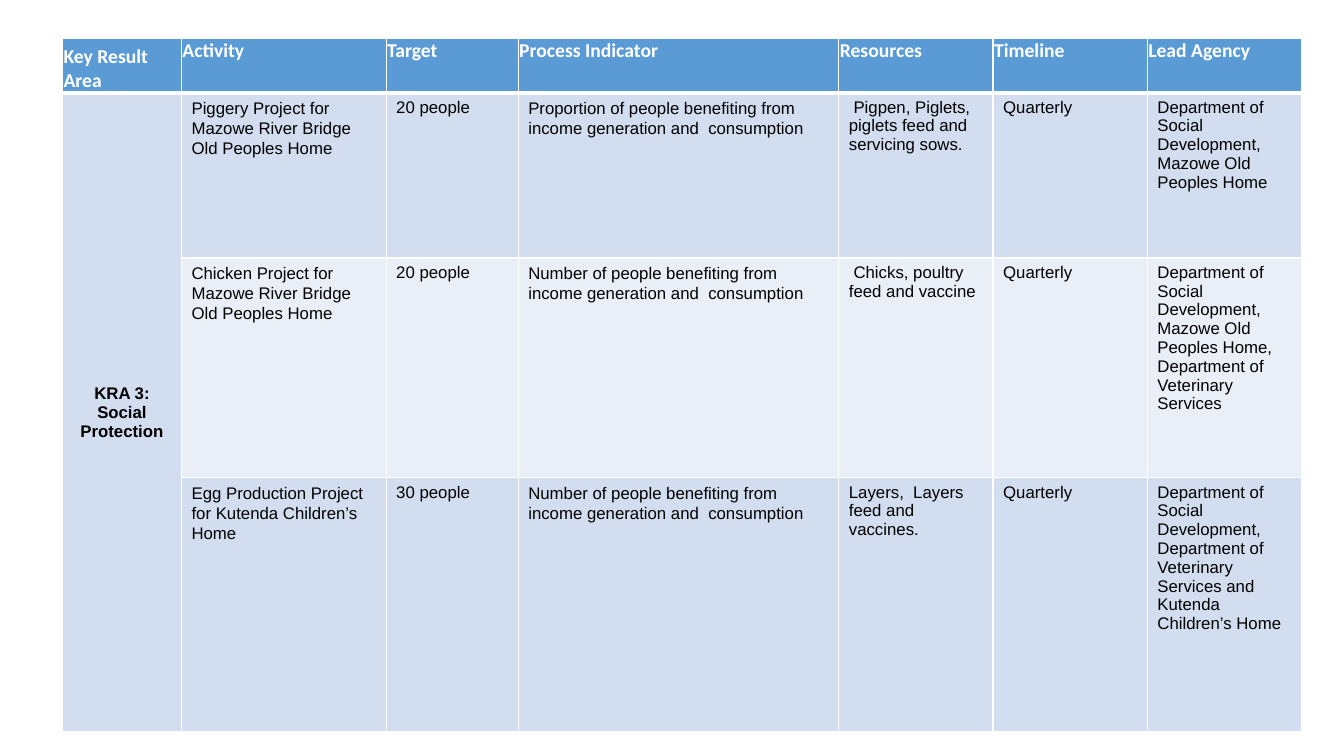
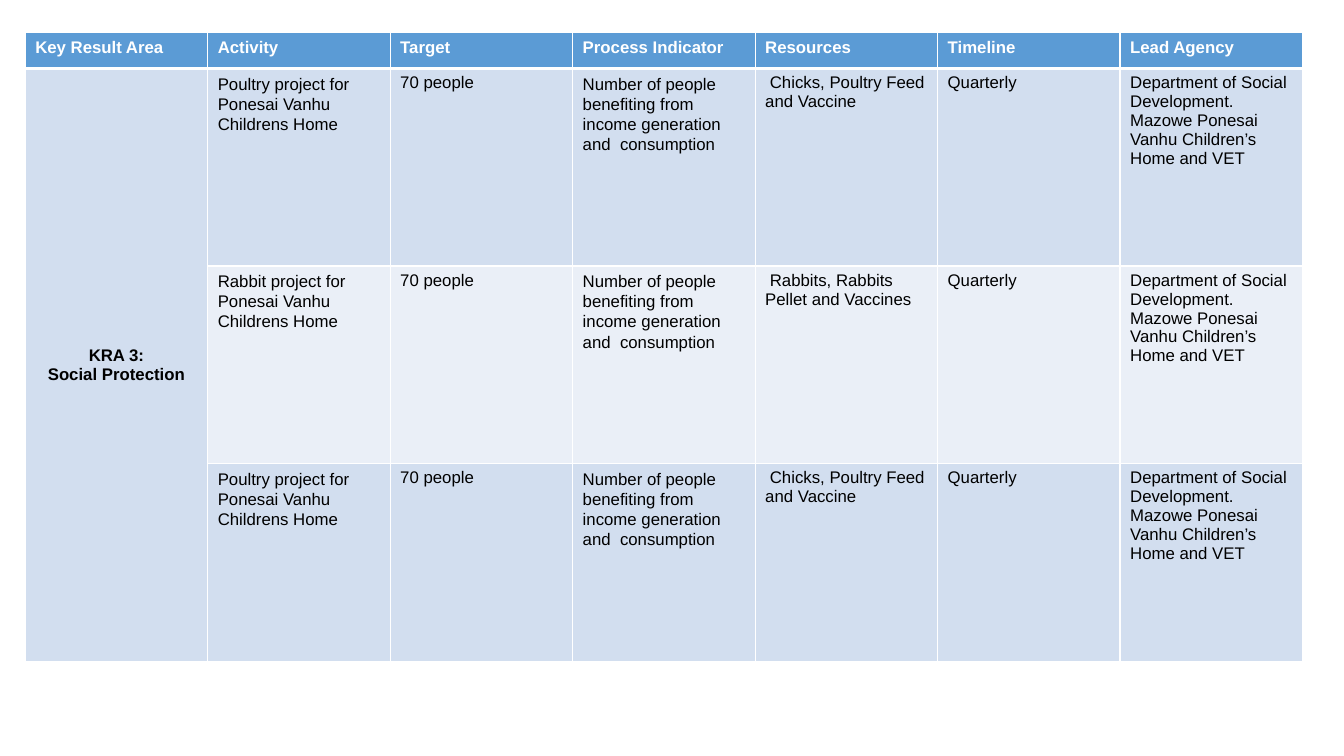
from dataclasses import dataclass

from lxml.etree import SubElement
from pptx import Presentation
from pptx.dml.color import RGBColor
from pptx.enum.text import MSO_ANCHOR, PP_ALIGN
from pptx.oxml.ns import qn
from pptx.util import Inches, Pt


@dataclass(frozen=True)
class Theme:
    header_fill: str = "5B9BD5"
    band_fills: tuple = ("D2DEEF", "EAEFF7")
    border: str = "FFFFFF"
    header_text: str = "FFFFFF"
    body_text: str = "000000"
    body_font: str = "Arial"
    body_size: int = 12
    thin: int = 1
    thick: int = 3
    loose_spacing: float = 1.07
    space_after: int = 8


@dataclass(frozen=True)
class HeaderStyle:
    font: str
    size: int
    tight: bool
    first_anchor: MSO_ANCHOR = MSO_ANCHOR.TOP


HEADINGS = ("Key Result Area", "Activity", "Target", "Process Indicator",
            "Resources", "Timeline", "Lead Agency")
KEY_RESULT_AREA = ("KRA 3:", "Social Protection")
LOOSE_COLUMNS = ("Activity", "Process Indicator")
BENEFIT = "of people benefiting from income generation and  consumption"
PONESAI_AGENCY = ("Department of Social Development. Mazowe Ponesai Vanhu "
                  "Children’s Home and VET")
PONESAI_POULTRY = ("Poultry project for Ponesai Vanhu Childrens Home", "70 people",
                   f"Number {BENEFIT}", " Chicks, Poultry Feed and Vaccine",
                   "Quarterly", PONESAI_AGENCY)

MAZOWE_PROJECTS = (
    ("Piggery Project for Mazowe River Bridge Old Peoples Home", "20 people",
     f"Proportion {BENEFIT}", " Pigpen, Piglets, piglets feed and servicing sows.",
     "Quarterly", "Department of Social Development,  Mazowe Old Peoples Home"),
    ("Chicken Project for Mazowe River Bridge Old Peoples Home", "20 people",
     f"Number {BENEFIT}", " Chicks, poultry feed and vaccine", "Quarterly",
     "Department of Social Development, Mazowe Old Peoples Home,  "
     "Department of Veterinary Services"),
    ("Egg Production Project for Kutenda Children’s Home", "30 people",
     f"Number {BENEFIT}", "Layers,  Layers feed and vaccines.", "Quarterly",
     "Department of Social Development, Department of Veterinary Services "
     "and Kutenda Children’s Home"),
)
PONESAI_PROJECTS = (
    PONESAI_POULTRY,
    ("Rabbit project for Ponesai Vanhu Childrens Home", "70 people",
     f"Number {BENEFIT}", " Rabbits, Rabbits Pellet and Vaccines",
     "Quarterly", PONESAI_AGENCY),
    PONESAI_POULTRY,
)


class PlanDeck:
    def __init__(self, theme):
        self.theme = theme
        self.deck = Presentation()
        self.deck.slide_width, self.deck.slide_height = Inches(13.33), Inches(7.5)
        self.slide = None

    def new_slide(self):
        self.slide = self.deck.slides.add_slide(self.deck.slide_layouts[6])

    def set_borders(self, cell, top, bottom):
        properties = cell._tc.get_or_add_tcPr()
        sides = (("a:lnL", self.theme.thin), ("a:lnR", self.theme.thin),
                 ("a:lnT", top), ("a:lnB", bottom))
        for position, (side, points) in enumerate(sides):
            line = SubElement(properties, qn(side), w=str(Pt(points)))
            fill = SubElement(line, qn("a:solidFill"))
            SubElement(fill, qn("a:srgbClr"), val=self.theme.border)
            properties.insert(position, line)

    def paint_cell(self, cell, row):
        theme = self.theme
        colour = theme.band_fills[(row - 1) % 2] if row else theme.header_fill
        cell.fill.solid()
        cell.fill.fore_color.rgb = RGBColor.from_string(colour)
        self.set_borders(cell, theme.thick if row == 1 else theme.thin,
                         theme.thin if row else theme.thick)

    def write_cell(self, cell, lines, font=None, size=None, colour=None,
                   bold=False, loose=False, align=PP_ALIGN.LEFT):
        theme = self.theme
        cell.text = "\n".join(lines)
        for paragraph in cell.text_frame.paragraphs:
            paragraph.alignment = align
            if loose:
                paragraph.line_spacing = theme.loose_spacing
                paragraph.space_after = Pt(theme.space_after)
            paragraph.font.name = font or theme.body_font
            paragraph.font.size = Pt(size or theme.body_size)
            paragraph.font.bold = bold
            paragraph.font.color.rgb = RGBColor.from_string(colour or theme.body_text)

    @staticmethod
    def tighten(cell):
        cell.margin_left = cell.margin_right = cell.margin_top = Inches(0.01)
        cell.margin_bottom = Inches(0)

    def plan_table(self, left, top, widths, heights, header, projects):
        """Add a plan whose first column is one key result area for all projects."""
        table = self.slide.shapes.add_table(
            len(heights), len(widths), Inches(left), Inches(top),
            Inches(sum(widths)), Inches(sum(heights))).table
        for column, width in zip(table.columns, widths):
            column.width = Inches(width)
        for row, height in zip(table.rows, heights):
            row.height = Inches(height)
        for row in range(len(heights)):
            for column in range(len(widths)):
                self.paint_cell(table.cell(row, column), row)

        for column, heading in enumerate(HEADINGS):
            cell = table.cell(0, column)
            self.write_cell(cell, [heading], header.font, header.size,
                            self.theme.header_text, bold=True, loose=not header.tight)
            if header.tight:
                self.tighten(cell)
        table.cell(0, 0).vertical_anchor = header.first_anchor

        area = table.cell(1, 0)
        area.merge(table.cell(len(projects), 0))
        self.write_cell(area, KEY_RESULT_AREA, bold=True, align=PP_ALIGN.CENTER)
        area.vertical_anchor = MSO_ANCHOR.MIDDLE
        if header.tight:
            self.tighten(area)

        for row, project in enumerate(projects, start=1):
            for column, entry in enumerate(project, start=1):
                self.write_cell(table.cell(row, column), [entry],
                                loose=HEADINGS[column] in LOOSE_COLUMNS)

    def save(self):
        self.deck.save("out.pptx")


def main():
    plan = PlanDeck(Theme())
    plan.new_slide()
    plan.plan_table(0.62, 0.38, (1.18, 2.03, 1.31, 3.18, 1.53, 1.53, 1.53),
                    (0.54, 1.64, 2.18, 2.52),
                    HeaderStyle("Calibri", 14, True, MSO_ANCHOR.BOTTOM),
                    MAZOWE_PROJECTS)
    plan.new_slide()
    plan.plan_table(0.25, 0.32, (1.81,) * len(HEADINGS), (0.36, 1.96, 1.96, 1.96),
                    HeaderStyle("Arial", 12, False), PONESAI_PROJECTS)
    plan.save()


if __name__ == "__main__":
    main()
